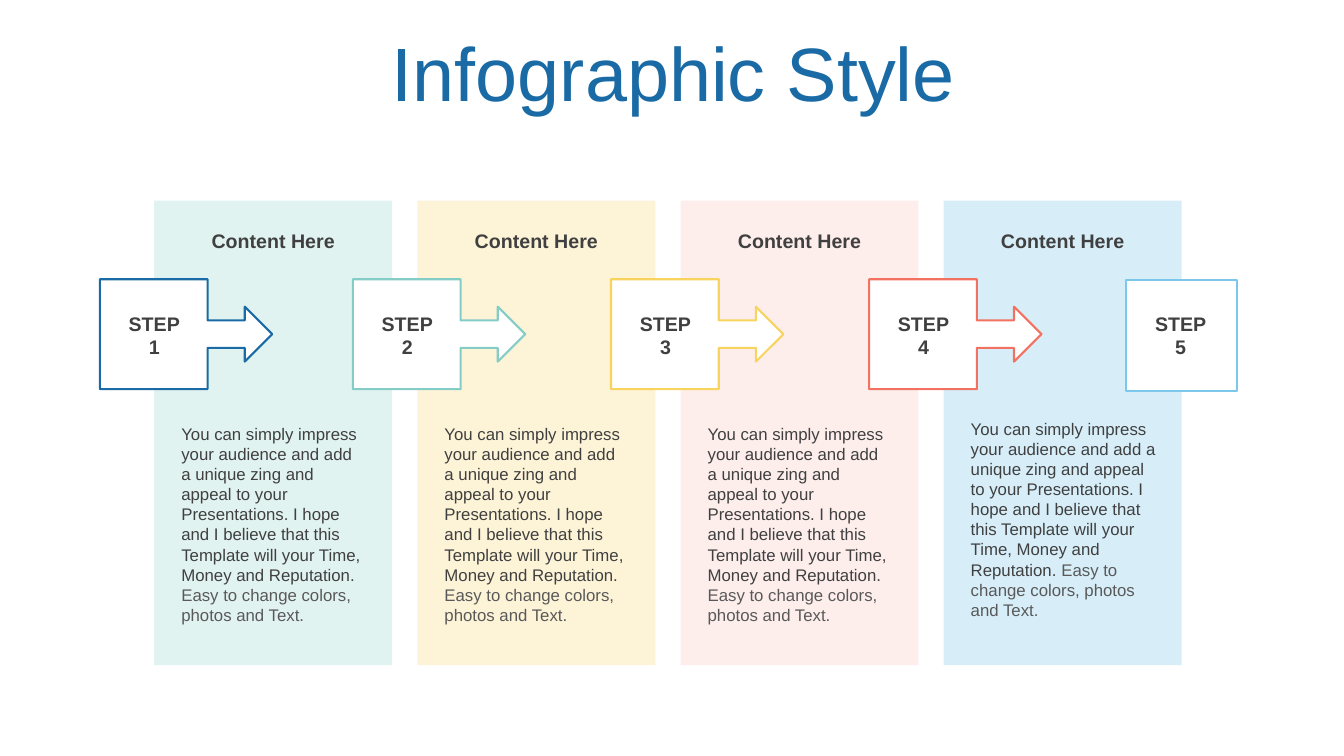
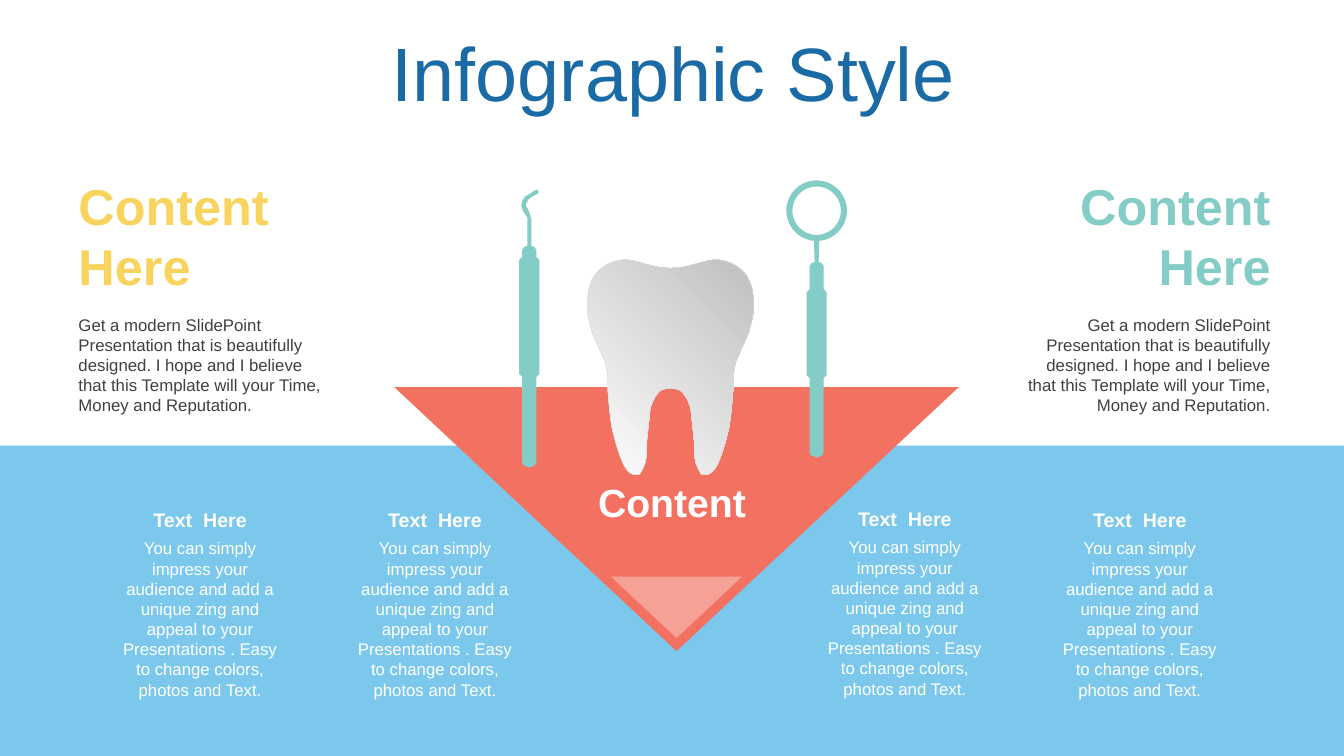
"""Build two infographic slides: a five-step process and a dental overview."""
from math import cos, radians, sin

from lxml import etree
from pptx import Presentation
from pptx.dml.color import RGBColor
from pptx.enum.shapes import MSO_SHAPE
from pptx.enum.text import MSO_ANCHOR, MSO_AUTO_SIZE, PP_ALIGN
from pptx.oxml.ns import qn
from pptx.util import Inches, Pt

FONT = "Arial"
C = {
    "navy": "1A6BA5", "teal": "84CCC6", "yellow": "F8D45E", "coral": "F27161",
    "sky": "7CC8EC", "mint": "CEEBE8", "cream": "FCEEBF", "rose": "F7AAA0",
    "ice": "B0DEF4", "white": "FFFFFF", "dark": "404040", "gray": "595959",
    "silver": "BFBFBF", "edge": "D9D9D9",
}
LEFT, CENTER, RIGHT = PP_ALIGN.LEFT, PP_ALIGN.CENTER, PP_ALIGN.RIGHT
TOP, MIDDLE = MSO_ANCHOR.TOP, MSO_ANCHOR.MIDDLE


def paint(sp, fill, alpha=100, line=None, width=1.5):
    """Give a shape a flat fill, with optional opacity and outline."""
    sp.shadow.inherit = False
    sp.fill.solid()
    sp.fill.fore_color.rgb = RGBColor.from_string(C[fill])
    if alpha < 100:
        color = sp._element.spPr.find(qn("a:solidFill"))[0]
        etree.SubElement(color, qn("a:alpha")).set("val", str(alpha * 1000))
    if line:
        sp.line.color.rgb = RGBColor.from_string(C[line])
        sp.line.width = Pt(width)
    else:
        sp.line.fill.background()


def add_text(s, box, paras, size, align=LEFT, anchor=TOP, bold=False):
    """Add a wrapped text box; each paragraph is a list of (text, colour) runs."""
    tf = s.shapes.add_textbox(*map(Inches, box)).text_frame
    tf.word_wrap = True
    tf.auto_size = MSO_AUTO_SIZE.SHAPE_TO_FIT_TEXT
    tf.vertical_anchor = anchor
    for i, runs in enumerate(paras):
        p = tf.add_paragraph() if i else tf.paragraphs[0]
        p.alignment = align
        for text, color in runs:
            r = p.add_run()
            r.text = text
            r.font.name, r.font.size, r.font.bold = FONT, Pt(size), bold
            r.font.color.rgb = RGBColor.from_string(C[color])


prs = Presentation()
prs.slide_width, prs.slide_height = Inches(13.33), Inches(7.5)

for _ in range(2):
    s = prs.slides.add_slide(prs.slide_layouts[5])
    title = s.shapes.title
    title.left, title.top = Inches(0.35), Inches(0.37)
    title.width, title.height = Inches(12.66), Inches(0.79)
    tf = title.text_frame
    tf.auto_size = MSO_AUTO_SIZE.NONE
    tf.vertical_anchor = MIDDLE
    p = tf.paragraphs[0]
    p.alignment, p.line_spacing = CENTER, 0.9
    r = p.add_run()
    r.text = "Infographic Style"
    r.font.name, r.font.size = FONT, Pt(54)
    r.font.color.rgb = RGBColor.from_string(C["navy"])

process, dental = prs.slides

STORY = [[
    ("You can simply impress your audience and add a unique zing and appeal to your "
     "Presentations. I hope and I believe that this Template will your Time, Money "
     "and Reputation. ", "dark"),
    ("Easy to change colors, photos and Text.", "gray"),
]]
columns = [("mint", 60, 4.15, 2.02), ("cream", 60, 4.15, 2.02),
           ("rose", 20, 4.15, 2.02), ("ice", 50, 4.1, 2.06)]
for i, (fill, alpha, top, width) in enumerate(columns):
    x = 1.53 + 2.61 * i
    sp = process.shapes.add_shape(MSO_SHAPE.RECTANGLE, Inches(x), Inches(1.99),
                                  Inches(2.36), Inches(4.61))
    paint(sp, fill, alpha)
    add_text(process, (x + 0.17, 2.22, 2.02, 0.34), [[("Content Here", "dark")]],
             14, CENTER, bold=True)
    add_text(process, (x + 0.17, top, width, 2.12), STORY, 12)

steps = [(0.99, "navy"), (3.5, "teal"), (6.06, "yellow"), (8.62, "coral"), (11.17, "sky")]
for n, (x, line) in enumerate(steps, 1):
    if n < len(steps):
        sp = process.shapes.add_shape(MSO_SHAPE.RIGHT_ARROW_CALLOUT, Inches(x), Inches(2.77),
                                      Inches(1.71), Inches(1.09))
        sp.adjustments[3] = 0.625
    else:
        sp = process.shapes.add_shape(MSO_SHAPE.RECTANGLE, Inches(x), Inches(2.78),
                                      Inches(1.1), Inches(1.1))
    paint(sp, "white", line=line)
    add_text(process, (x + 0.13, 3.04, 0.82, 0.57),
             [[("STEP", "dark")], [(str(n), "dark")]], 14, CENTER, MIDDLE, True)

band = dental.shapes.add_shape(MSO_SHAPE.RECTANGLE, 0, Inches(4.42),
                               prs.slide_width, Inches(3.08))
paint(band, "sky")

BLURB = ("You can simply impress your audience and add a unique zing and appeal to your "
         "Presentations . Easy to change colors, photos and Text.")
for x, y in [(1.1, 4.99), (3.43, 4.99), (8.09, 4.98), (10.42, 4.99)]:
    add_text(dental, (x, y, 1.77, 0.34), [[("Text  Here", "white")]],
             14, CENTER, MIDDLE, True)
    add_text(dental, (x, y + 0.3, 1.77, 1.72), [[(BLURB, "white")]], 12, CENTER)

for box, fill, alpha in [((3.91, 3.84, 5.6, 2.62), "coral", 100),
                         ((6.06, 5.72, 1.3, 0.61), "white", 34)]:
    sp = dental.shapes.add_shape(MSO_SHAPE.ISOSCELES_TRIANGLE, *map(Inches, box))
    sp.rotation = 180
    paint(sp, fill, alpha)

PITCH = ("Get a modern SlidePoint Presentation that is beautifully designed. I hope and "
         "I believe that this Template will your Time, Money and Reputation.")
for x, color, align in [(0.68, "yellow", LEFT), (10.01, "teal", RIGHT)]:
    add_text(dental, (x, 1.68, 2.69, 1.31), [[("Content Here", color)]],
             36, align, MIDDLE, True)
    add_text(dental, (x, 3.07, 2.69, 1.11), [[(PITCH, "dark")]], 12, align)
add_text(dental, (5.54, 4.69, 2.25, 0.57), [[("Content", "white")]],
         28, CENTER, MIDDLE, True)

hook = [(5.27, 2.43), (5.27, 2.17), (5.26, 2.14), (5.24, 2.08), (5.22, 2.05), (5.22, 2.02),
        (5.24, 1.98), (5.28, 1.95), (5.34, 1.92), (5.34, 1.89), (5.32, 1.88), (5.26, 1.92),
        (5.21, 1.95), (5.18, 1.99), (5.17, 2.04), (5.19, 2.1), (5.22, 2.14), (5.23, 2.16),
        (5.23, 2.43)]
ring, lens = [[(8.1 + rad * cos(radians(a)), 2.09 + rad * sin(radians(a)))
               for a in range(85, -270, -5)] for rad in (0.3, 0.24)]

outlines = []
for head, holes, cx, collar, grip, base, end in [
        (hook, [], 5.25, 2.44, 2.55, 3.74, 4.64),
        (ring, [lens], 8.1, 2.6, 2.87, 3.75, 4.54)]:
    side = [(0.02, collar), (0.05, collar + 0.01), (0.07, collar + 0.04), (0.07, grip),
            (0.1, grip + 0.03), (0.1, base - 0.03), (0.07, base), (0.07, end - 0.05),
            (0.05, end - 0.02), (0, end)]
    handle = [(cx - w, y) for w, y in side] + [(cx + w, y) for w, y in reversed(side)]
    outlines.append([head + handle] + holes)

curves = [
    (6.58, 2.66, 6.51, 2.65, 6.44, 2.63), (6.35, 2.61, 6.27, 2.57, 6.17, 2.58),
    (6.07, 2.59, 5.97, 2.64, 5.9, 2.73), (5.85, 2.8, 5.83, 2.89, 5.83, 2.97),
    (5.82, 3.07, 5.83, 3.15, 5.86, 3.24), (5.86, 3.24, 5.87, 3.29, 5.87, 3.29),
    (5.91, 3.39, 5.96, 3.49, 6, 3.59), (6.03, 3.69, 6.03, 3.79, 6.03, 3.89),
    (6.04, 4.01, 6.05, 4.13, 6.07, 4.25), (6.1, 4.37, 6.13, 4.49, 6.18, 4.6),
    (6.2, 4.64, 6.24, 4.71, 6.3, 4.71), (6.3, 4.71, 6.33, 4.71, 6.33, 4.71),
    (6.36, 4.71, 6.39, 4.61, 6.4, 4.59), (6.42, 4.5, 6.41, 4.41, 6.42, 4.33),
    (6.43, 4.24, 6.44, 4.15, 6.45, 4.05), (6.47, 3.99, 6.5, 3.91, 6.56, 3.87),
    (6.59, 3.86, 6.62, 3.85, 6.65, 3.85),
]
half = [(6.65, 2.66)]
for x1, y1, x2, y2, x3, y3 in curves:
    x0, y0 = half[-1]
    for t in [k / 8 for k in range(1, 9)]:
        u = 1 - t
        a, b, c, d = u ** 3, 3 * u * u * t, 3 * u * t * t, t ** 3
        half.append((a * x0 + b * x1 + c * x2 + d * x3, a * y0 + b * y1 + c * y2 + d * y3))
outlines.append([half + [(13.3 - x, y) for x, y in reversed(half)]])

for contours in outlines:
    points = [[(Inches(x), Inches(y)) for x, y in contour] for contour in contours]
    fb = dental.shapes.build_freeform(*points[0][0])
    fb.add_line_segments(points[0][1:], close=True)
    for hole in points[1:]:
        fb.move_to(*hole[0])
        fb.add_line_segments(hole[1:], close=True)
    sp = fb.convert_to_shape()
    paint(sp, "teal")

tooth = sp
paint(tooth, "white", line="edge", width=0.32)
tooth.fill.gradient()
tooth.fill.gradient_angle = 45
for stop, color, position in zip(tooth.fill.gradient_stops, ("white", "silver"), (0, 1)):
    stop.color.rgb = RGBColor.from_string(C[color])
    stop.position = position

prs.save("out.pptx")
